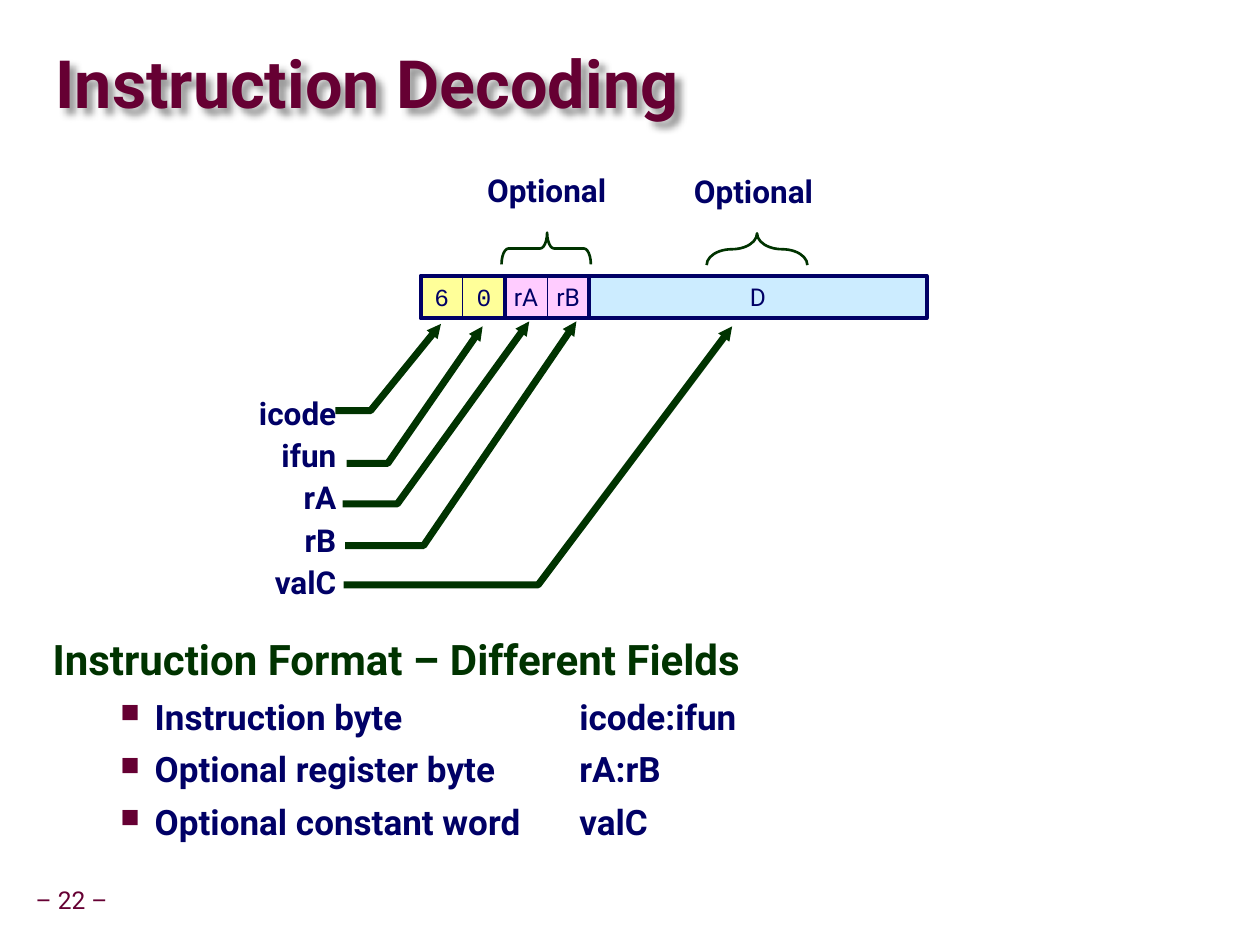
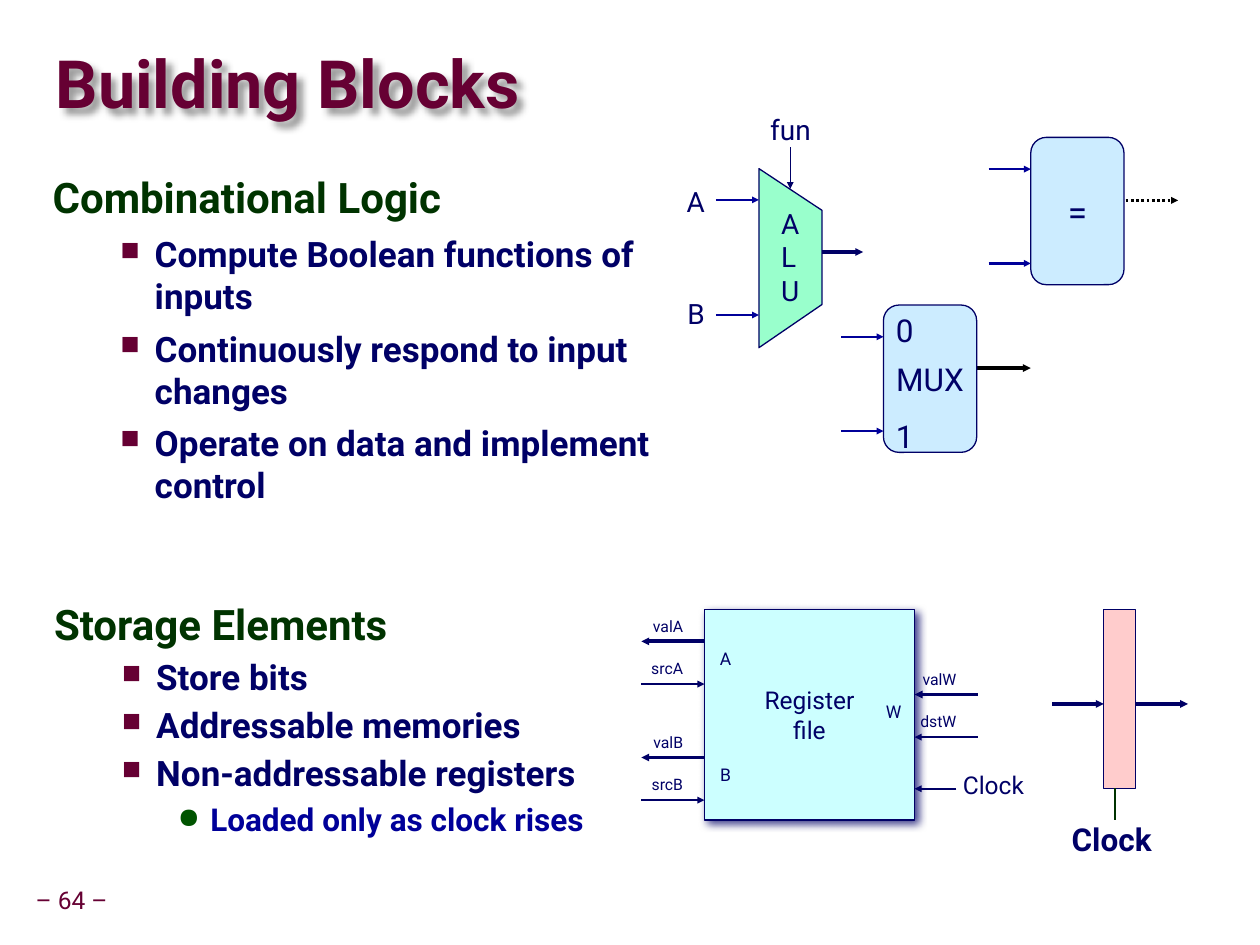
from lxml.etree import SubElement
from pptx import Presentation
from pptx.dml.color import RGBColor
from pptx.enum.dml import MSO_LINE
from pptx.enum.shapes import MSO_CONNECTOR, MSO_SHAPE
from pptx.enum.text import MSO_ANCHOR, PP_ALIGN
from pptx.oxml.ns import qn
from pptx.util import Cm, Pt

COLORS = {
    "maroon": "660033", "green": "003300", "dot": "005400", "navy": "000066",
    "blue": "000099", "black": "000000", "yellow": "FFFF99", "pink": "FFCCFF",
    "sky": "CCECFF", "cyan": "CCFFFF", "mint": "99FFCC", "rose": "FFCCCC",
}
FONT = "Roboto"
MONO = "Courier New"
UNIT = 0.85

# level: size, colour, left margin, hanging indent, space before, bullet, bullet colour, bullet %
LEVELS = [
    (24, "green", 1.07, -1.07, 12, None, None, None),
    (20, "navy", 2.06, -0.69, 5.8, "■", "maroon", 75),
    (18, "blue", 3.15, -0.66, 2, "●", "dot", 90),
]


def rgb(name):
    """Return the named colour."""
    return RGBColor.from_string(COLORS[name])


def cms(*values):
    """Convert numbers to lengths in centimetres."""
    return [Cm(v) for v in values]


def style_run(r, size, color="navy", bold=False, font=FONT):
    """Set the font of one run."""
    r.font.name, r.font.size, r.font.bold = font, Pt(size), bold
    r.font.color.rgb = rgb(color)


def fill_text(tf, lines, size, color="navy", bold=False, font=FONT,
              align=PP_ALIGN.LEFT, spacing=1.0, pad=0.25, pad_y=0.13,
              anchor=MSO_ANCHOR.TOP, wrap=True):
    """Write lines of equal style into a text frame."""
    tf.word_wrap, tf.vertical_anchor = wrap, anchor
    tf.margin_left = tf.margin_right = Cm(pad)
    tf.margin_top = tf.margin_bottom = Cm(pad_y)
    for i, line in enumerate(lines):
        p = tf.add_paragraph() if i else tf.paragraphs[0]
        p.alignment, p.line_spacing = align, spacing
        r = p.add_run()
        r.text = line
        style_run(r, size, color, bold, font)


def add_text(s, box, lines, size, **style):
    """Add a text box."""
    fill_text(s.shapes.add_textbox(*cms(*box)).text_frame, lines, size, **style)


def add_label(s, box, text, size=18, bold=True, align=PP_ALIGN.CENTER, **style):
    """Add a one-line label with narrow margins."""
    add_text(s, box, [text], size, bold=bold, align=align, spacing=0.9,
             pad=0.13, wrap=False, **style)


def paint(sp, fill, line, width):
    """Set fill and line of a shape and remove its shadow."""
    sp.shadow.inherit = False
    if fill:
        sp.fill.solid()
        sp.fill.fore_color.rgb = rgb(fill)
    else:
        sp.fill.background()
    sp.line.color.rgb = rgb(line)
    sp.line.width = Pt(width)


def add_box(s, box, fill=None, width=0.75, lines=(), size=14, font=FONT,
            kind=MSO_SHAPE.RECTANGLE, line="navy"):
    """Add a preset shape with centred text."""
    sp = s.shapes.add_shape(kind, *cms(*box))
    paint(sp, fill, line, width)
    fill_text(sp.text_frame, lines, size, font=font, align=PP_ALIGN.CENTER,
              anchor=MSO_ANCHOR.MIDDLE, wrap=False)
    return sp


def add_polyline(s, points, fill, line, width, close):
    """Add a freeform through the given points."""
    pts = [tuple(cms(*pt)) for pt in points]
    fb = s.shapes.build_freeform(*pts[0], scale=1.0)
    fb.add_line_segments(pts[1:], close=close)
    sp = fb.convert_to_shape()
    paint(sp, fill, line, width)
    return sp


def add_head(sp):
    """Put a small triangle at the end of a line."""
    SubElement(sp.line._get_or_add_ln(), qn("a:tailEnd"), type="triangle", w="sm", len="sm")


def add_line(s, x1, y1, x2, y2, color="navy", width=2.25, dash=None, head=True):
    """Add a straight line, by default with an arrowhead."""
    c = s.shapes.add_connector(MSO_CONNECTOR.STRAIGHT, *cms(x1, y1, x2, y2))
    c.line.color.rgb = rgb(color)
    c.line.width = Pt(width)
    if dash:
        c.line.dash_style = dash
    if head:
        add_head(c)
    SubElement(c._element.spPr, qn("a:effectLst"))


def drop_shadow(sp, color, alpha, blur, dist):
    """Give a shape a soft shadow to the lower right."""
    sp.shadow.inherit = False
    effects = sp._element.spPr.find(qn("a:effectLst"))
    shadow = SubElement(effects, qn("a:outerShdw"), blurRad=str(Pt(blur)),
                        dist=str(Pt(dist)), dir="2700000", algn="ctr", rotWithShape="0")
    clr = SubElement(shadow, qn("a:srgbClr"), val=COLORS[color])
    SubElement(clr, qn("a:alpha"), val=str(alpha * 1000))


def add_outline(s, box, items, bullet_spacing=1.0, tab=None):
    """Add a heading with bullets; items are (level, text)."""
    tf = s.shapes.add_textbox(*cms(*box)).text_frame
    tf.word_wrap = True
    for i, (level, text) in enumerate(items):
        size, color, margin, indent, before, bullet, bullet_color, pct = LEVELS[level]
        p = tf.add_paragraph() if i else tf.paragraphs[0]
        pPr = p._p.get_or_add_pPr()
        pPr.set("marL", str(Cm(margin)))
        pPr.set("indent", str(Cm(indent)))
        if bullet:
            clr = SubElement(pPr, qn("a:buClr"))
            SubElement(clr, qn("a:srgbClr"), val=COLORS[bullet_color])
            SubElement(pPr, qn("a:buSzPct"), val=str(pct * 1000))
            SubElement(pPr, qn("a:buChar"), char=bullet)
        if tab:
            tabs = SubElement(pPr, qn("a:tabLst"))
            SubElement(tabs, qn("a:tab"), pos=str(Cm(tab)), algn="l")
        p.space_before = Pt(before if i else 0)
        p.line_spacing = (0.95, bullet_spacing, 1.07)[level]
        r = p.add_run()
        r.text = text
        style_run(r, size, color, True)


def add_slide(prs, title, number):
    """Add a slide with its title and page number."""
    s = prs.slides.add_slide(prs.slide_layouts[5])
    sp = s.shapes.title
    sp.left, sp.top, sp.width, sp.height = cms(1.12, 0.69, 24.21, 2.16)
    fill_text(sp.text_frame, [title], 38, color="maroon", bold=True, spacing=0.87,
              pad=0, pad_y=0, anchor=MSO_ANCHOR.MIDDLE)
    drop_shadow(sp, "black", 40, 4, 4)
    add_label(s, (0.58, 17.78, 1.73, 0.81), f"– {number} –", 14, False,
              color="maroon", anchor=MSO_ANCHOR.MIDDLE)
    return s


def instruction_fields(s, x, y, h):
    """Draw the instruction as two split bytes and a constant word."""
    for i, (pair, fill, font) in enumerate([("6 0", "yellow", MONO), ("rA rB", "pink", FONT)]):
        left = x + 2 * UNIT * i
        for j, text in enumerate(pair.split()):
            add_box(s, (left + UNIT * j, y, UNIT, h), fill, 0.5, [text], font=font)
        add_box(s, (left, y, 2 * UNIT, h), width=2.25)
    add_box(s, (x + 4 * UNIT, y, 8 * UNIT, h), "sky", 2.25, ["D"])


def decoding_diagram(s, x, y):
    """Draw the instruction fields, their names and the arrows between them."""
    instruction_fields(s, x + 4.24, y + 2.16, 0.86)
    # name, start x, elbow x, line y, tip
    routes = [
        ("icode", 2.52, 3.23, 4.88, (4.65, 3.13)),
        ("ifun", 2.75, 3.58, 5.94, (5.49, 3.18)),
        ("rA", 2.67, 3.77, 6.76, (6.43, 3.08)),
        ("rB", 2.72, 4.3, 7.6, (7.38, 3.08)),
        ("valC", 2.69, 6.61, 8.39, (10.52, 3.18)),
    ]
    for i, (name, start, elbow, line_y, tip) in enumerate(routes):
        add_text(s, (x, y + 4.5 + UNIT * i, 2.67, 0.97), [name], 18, bold=True,
                 align=PP_ALIGN.RIGHT, spacing=0.9, pad=0.13)
        points = [(start, line_y), (elbow, line_y), tip]
        add_head(add_polyline(s, [(x + px, y + py) for px, py in points],
                              None, "green", 4, False))
    braces = [((6.45, 0.71, 1.8), (0.22, 0.49), (5.36, 0)),
              ((10.7, 0.61, 2.03), (0.89, 0.5), (9.53, 0.03))]
    for (bx, by, bh), adjust, (lx, ly) in braces:
        sp = add_box(s, (x + bx, y + by, 0.64, bh), width=1.5,
                     kind=MSO_SHAPE.LEFT_BRACE, line="green")
        sp.rotation = 90
        sp.adjustments[0], sp.adjustments[1] = adjust
        add_label(s, (x + lx, y + ly, 2.84, 0.97), "Optional")


def alu(s, x, y):
    """Draw the arithmetic unit with its inputs and output."""
    add_line(s, x + 3.2, y + 0.84, x + 3.2, y + 1.68, width=0.75)
    corners = [(2.57, 1.27), (3.84, 2.11), (3.84, 4.01), (2.57, 4.88)]
    add_polyline(s, [(x + px, y + py) for px, py in corners], "mint", "navy", 0.75, True)
    add_text(s, (x + 2.77, y + 1.9, 1.07, 2.29), "ALU", 16)
    add_line(s, x + 3.84, y + 2.95, x + 4.67, y + 2.95)
    add_text(s, (x + 2.34, y, 1.73, 0.94), ["fun"], 16, align=PP_ALIGN.CENTER)
    for name, line_y, label_y in [("A", 1.9, 1.47), ("B", 4.22, 3.71)]:
        add_line(s, x + 1.7, y + line_y, x + 2.57, y + line_y, "blue", 1.5)
        add_text(s, (x, y + label_y, 1.73, 0.94), [name], 16, align=PP_ALIGN.RIGHT)


def logic_block(s, x, y, label, size, out_width, dash=None):
    """Draw a rounded block with two inputs and one output."""
    add_line(s, x + 1.7, y + 1.27, x + 2.97, y + 1.27, "black", out_width, dash)
    add_box(s, (x, y, 1.88, 2.97), "sky", lines=[label], size=size,
            kind=MSO_SHAPE.ROUNDED_RECTANGLE)
    for dy in (0.64, 2.54):
        add_line(s, x - UNIT, y + dy, x, y + dy, "blue", 1.5)


def mux(s, x, y):
    """Draw the multiplexer with its numbered inputs."""
    logic_block(s, x, y, "MUX", 18, 2.25)
    for i in range(2):
        add_text(s, (x, y + 2.13 * i, 1.27, 1.02), [str(i)], 18)


def register_file(s, x, y):
    """Draw the register file with two read ports, a write port and a clock."""
    left, right = x + 1.27, x + 5.51
    sp = add_box(s, (left, y + 0.2, 4.24, 4.24), "cyan", lines=["Register", "file"])
    drop_shadow(sp, "navy", 75, 5, 3)
    ports = [("A", "src", x, left, 0), ("B", "src", x, left, 2.34),
             ("W", "dst", right, right - UNIT, 1.07)]
    for port, address, px, letter_x, dy in ports:
        add_text(s, (letter_x, y + dy + 0.84, UNIT, 0.69), [port], 10,
                 align=PP_ALIGN.CENTER, pad=0)
        for i, prefix in enumerate(("val", address)):
            add_text(s, (px, y + dy + 0.84 * i, 0.84, 1.07), [prefix + port], 9,
                     align=PP_ALIGN.RIGHT, pad=0, anchor=MSO_ANCHOR.MIDDLE)
            start, end = (px, px + 1.27) if prefix == "src" else (px + 1.27, px)
            line_y = y + dy + 0.84 + 0.86 * i
            add_line(s, start, line_y, end, line_y, width=(2.25, 1)[i])
    add_line(s, right + 0.84, y + 3.81, right, y + 3.81, width=1)
    add_label(s, (right + 0.84, y + 3.38, 1.5, 0.81), "Clock", 14, False, PP_ALIGN.LEFT)


def clocked_register(s, x, y):
    """Draw a single register with its clock."""
    add_line(s, x + 1.68, y + 1.9, x + 2.74, y + 1.9)
    add_box(s, (x + 1.04, y, 0.64, 3.6), "rose")
    add_line(s, x + 1.27, y + 3.6, x + 1.27, y + 4.24, "green", 1.5, head=False)
    add_label(s, (x + 0.2, y + 4.19, 2, 0.97), "Clock")
    add_line(s, x, y + 1.9, x + 1.04, y + 1.9)


def decoding_slide(prs):
    """Build the slide on instruction decoding."""
    s = add_slide(prs, "Instruction Decoding", 22)
    add_outline(s, (0.81, 12.73, 23.09, 5.18), [
        (0, "Instruction Format – Different Fields"),
        (1, "Instruction byte\ticode:ifun"),
        (1, "Optional register byte\trA:rB"),
        (1, "Optional constant word\tvalC")], tab=10.62)
    decoding_diagram(s, 4.24, 3.4)


def blocks_slide(prs):
    """Build the slide on hardware building blocks."""
    s = add_slide(prs, "Building Blocks", 64)
    add_outline(s, (0.81, 3.4, 13.82, 7.19), [
        (0, "Combinational Logic"),
        (1, "Compute Boolean functions of inputs"),
        (1, "Continuously respond to input changes"),
        (1, "Operate on data and implement control")])
    add_outline(s, (0.84, 12.02, 13.82, 4.9), [
        (0, "Storage Elements"),
        (1, "Store bits"),
        (1, "Addressable memories"),
        (1, "Non-addressable registers"),
        (2, "Loaded only as clock rises")], bullet_spacing=0.9)
    register_file(s, 12.93, 12.09)
    alu(s, 12.73, 2.13)
    mux(s, 17.81, 6.15)
    logic_block(s, 20.78, 2.77, "=", 20, 1.5, MSO_LINE.ROUND_DOT)
    clocked_register(s, 21.21, 12.29)


def main():
    """Build the deck."""
    prs = Presentation()
    prs.slide_width, prs.slide_height = cms(25.4, 19.05)
    decoding_slide(prs)
    blocks_slide(prs)
    prs.save("out.pptx")


if __name__ == "__main__":
    main()
